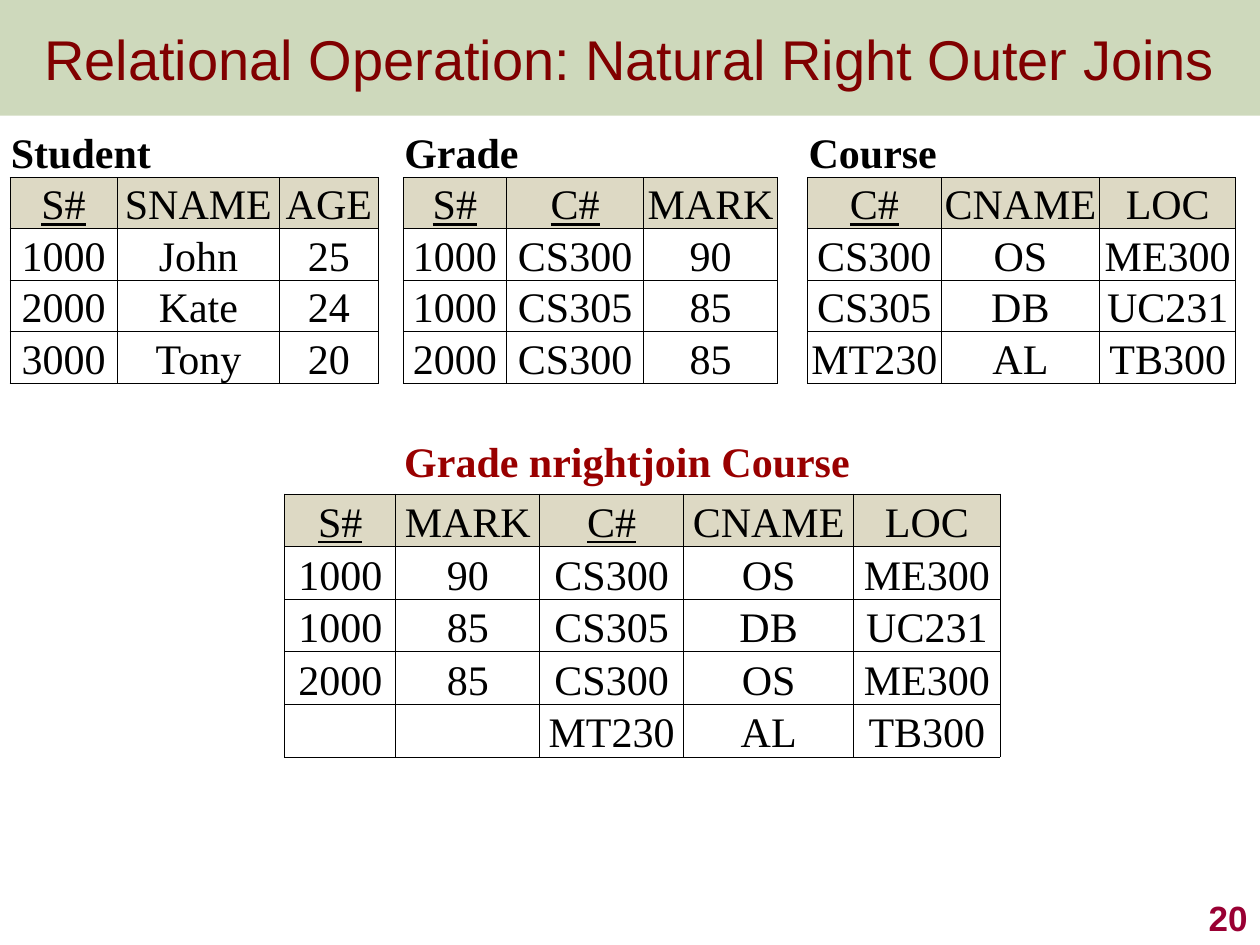
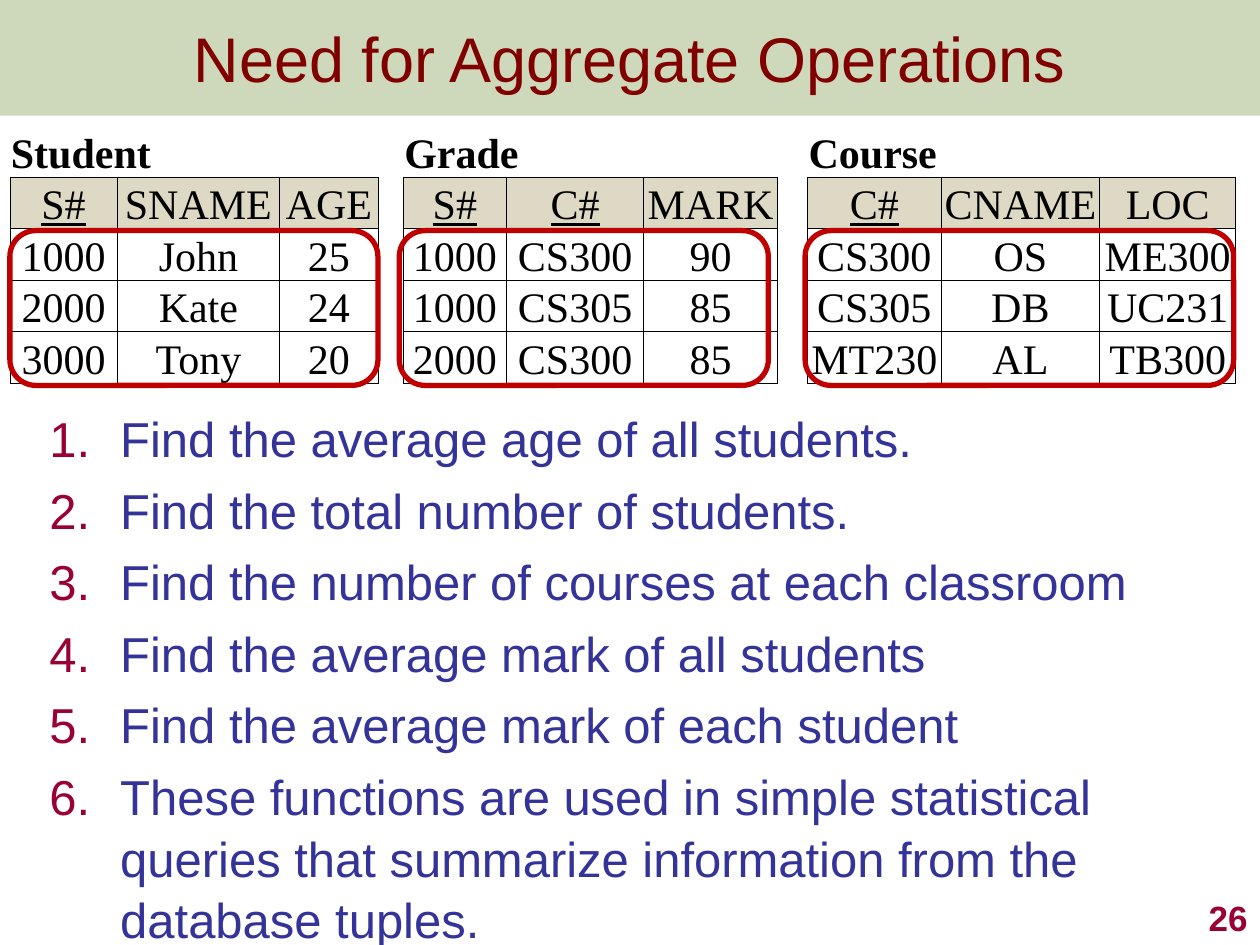
from pptx import Presentation
from pptx.dml.color import RGBColor
from pptx.enum.shapes import MSO_SHAPE as Shape
from pptx.enum.text import MSO_ANCHOR as Anchor, MSO_AUTO_SIZE as AutoSize, PP_ALIGN as Align
from pptx.oxml.ns import qn
from pptx.util import Cm, Pt
from lxml.etree import SubElement

COLORS = {
    "band": "5F8422", "title": "800000", "number": "990033", "body": "333399",
    "join": "990000", "outline": "C00000", "head": "DDD9C4", "white": "FFFFFF",
    "black": "000000",
}
SANS, SERIF = "Arial", "Times New Roman"

RELATIONS = {
    "Student": [("S#", "SNAME", "AGE"), ("1000", "John", "25"),
                ("2000", "Kate", "24"), ("3000", "Tony", "20")],
    "Grade": [("S#", "C#", "MARK"), ("1000", "CS300", "90"),
              ("1000", "CS305", "85"), ("2000", "CS300", "85")],
    "Course": [("C#", "CNAME", "LOC"), ("CS300", "OS", "ME300"),
               ("CS305", "DB", "UC231"), ("MT230", "AL", "TB300")],
}
RELATION_WIDTHS = [2.16, 3.28, 1.98, 0.51, 2.08, 2.77, 2.69, 0.61, 2.69, 3.2, 2.74]
JOIN_TITLE = "Grade nrightjoin Course"
JOIN = [
    ("S#", "MARK", "C#", "CNAME", "LOC"),
    ("1000", "90", "CS300", "OS", "ME300"),
    ("1000", "85", "CS305", "DB", "UC231"),
    ("2000", "85", "CS300", "OS", "ME300"),
    ("", "", "MT230", "AL", "TB300"),
]
JOIN_WIDTHS = [2.24, 2.9, 2.9, 3.43, 2.95]
KEYS = ("S#", "C#")
OUTLINES = [(0.2, 7.42), (16.23, 8.64), (8.05, 7.44)]
QUERIES = [
    "Find the average age of all students.",
    "Find the total number of students.",
    "Find the number of courses at each classroom",
    "Find the average mark of all students",
    "Find the average mark of each student",
    "These functions are used in simple statistical queries that summarize "
    "information from the database tuples.",
]


def rgb(name):
    return RGBColor.from_string(COLORS[name])


def place(sp, left, top, width, height):
    sp.left, sp.top, sp.width, sp.height = Cm(left), Cm(top), Cm(width), Cm(height)


def style(p, font, size, color, bold=False, align=None):
    p.alignment = align
    for r in p.runs:
        r.font.name, r.font.size, r.font.bold = font, Pt(size), bold
        r.font.color.rgb = rgb(color)


def add_text(s, box, text, *look, wrap=True, anchor=Anchor.TOP):
    tf = s.shapes.add_textbox(*map(Cm, box)).text_frame
    tf.word_wrap, tf.vertical_anchor = wrap, anchor
    tf.text = text
    style(tf.paragraphs[0], *look)


def new_slide(prs, layout, title, size, number):
    s = prs.slides.add_slide(prs.slide_layouts[layout])
    sp = s.shapes.title
    place(sp, 0, 0, 25.4, 2.33)
    sp.fill.solid()
    sp.fill.fore_color.rgb = rgb("band")
    clr = sp.fill._xPr.find(qn("a:solidFill"))[0]
    SubElement(clr, qn("a:alpha"), val="30000")
    tf = sp.text_frame
    tf.text = title
    tf.auto_size, tf.vertical_anchor = AutoSize.NONE, Anchor.MIDDLE
    style(tf.paragraphs[0], SANS, size, "title", False, Align.CENTER)
    add_text(s, (20.12, 17.78, 5.28, 1.27), number, SANS, 20, "number", True,
             Align.RIGHT, anchor=Anchor.BOTTOM)
    return s


def set_borders(cell, sides):
    tcPr = cell._tc.get_or_add_tcPr()
    for side in "LRTB":
        ln = SubElement(tcPr, qn("a:ln" + side), w=str(Pt(0.5)))
        if side in sides:
            fill = SubElement(ln, qn("a:solidFill"))
            SubElement(fill, qn("a:srgbClr"), val=COLORS["black"])
        else:
            SubElement(ln, qn("a:noFill"))


def fill_cell(cell, text, fill="white", sides="LRTB", bold=False, align=Align.CENTER):
    cell.margin_left = cell.margin_right = cell.margin_top = Cm(0.02)
    cell.margin_bottom = 0
    cell.vertical_anchor = Anchor.BOTTOM
    set_borders(cell, sides)
    cell.fill.solid()
    cell.fill.fore_color.rgb = rgb(fill)
    if text:
        cell.text = text
        p = cell.text_frame.paragraphs[0]
        style(p, SERIF, 24, "black", bold, align)
        p.runs[0].font.underline = text in KEYS


def add_grid(s, left, top, widths, row_height, n_rows):
    frame = s.shapes.add_table(n_rows, len(widths), Cm(left), Cm(top),
                               Cm(sum(widths)), Cm(row_height * n_rows))
    table = frame.table
    for col, width in zip(table.columns, widths):
        col.width = Cm(width)
    for row in table.rows:
        row.height = Cm(row_height)
    return table


def fill_rows(table, rows, top=0, left=0):
    for i, row in enumerate(rows):
        for j, text in enumerate(row):
            fill_cell(table.cell(top + i, left + j), text, "white" if i else "head")


def add_relations(s):
    table = add_grid(s, 0.2, 2.54, RELATION_WIDTHS, 0.97, 5)
    for k, (name, rows) in enumerate(RELATIONS.items()):
        left = 4 * k
        for j in range(3):
            fill_cell(table.cell(0, left + j), "" if j else name, sides="B",
                      bold=True, align=Align.LEFT)
        table.cell(0, left).merge(table.cell(0, left + 2))
        fill_rows(table, rows, 1, left)
        if k:
            for i in range(5):
                fill_cell(table.cell(i, left - 1), "", sides="LR" if i else "")


def add_outlines(s):
    for left, width in OUTLINES:
        sp = s.shapes.add_shape(Shape.ROUNDED_RECTANGLE, Cm(left), Cm(4.65),
                                Cm(width), Cm(3.12))
        sp.shadow.inherit = False
        sp.fill.background()
        sp.line.color.rgb = rgb("outline")
        sp.line.width = Pt(3)


def add_queries(s):
    sp = s.placeholders[1]
    place(sp, 0.74, 8.05, 24.13, 10.59)
    tf = sp.text_frame
    tf.auto_size, tf.margin_right = AutoSize.NONE, 0
    tf.text = "\n".join(QUERIES)
    for i, p in enumerate(tf.paragraphs):
        pPr = p._p.get_or_add_pPr()
        pPr.set("marL", str(Cm(1.43)))
        pPr.set("indent", str(-Cm(1.43)))
        clr = SubElement(pPr, qn("a:buClr"))
        SubElement(clr, qn("a:srgbClr"), val=COLORS["number"])
        SubElement(pPr, qn("a:buFont"), typeface=SANS)
        SubElement(pPr, qn("a:buAutoNum"), type="arabicPeriod")
        p.line_spacing = 1.05
        p.space_before = Pt(5.6 if i else 0)
        style(p, SANS, 28, "body")


def main():
    prs = Presentation()
    prs.slide_width, prs.slide_height = Cm(25.4), Cm(19.05)

    s = new_slide(prs, 5, "Relational Operation: Natural Right Outer Joins", 32, "20")
    fill_rows(add_grid(s, 5.74, 9.96, JOIN_WIDTHS, 1.06, len(JOIN)), JOIN)
    add_relations(s)
    add_text(s, (7.9, 8.66, 9.58, 1.27), JOIN_TITLE, SERIF, 24, "join", True, wrap=False)

    s = new_slide(prs, 1, "Need for Aggregate Operations", 36, "26")
    add_queries(s)
    add_relations(s)
    add_outlines(s)

    prs.save("out.pptx")


if __name__ == "__main__":
    main()
